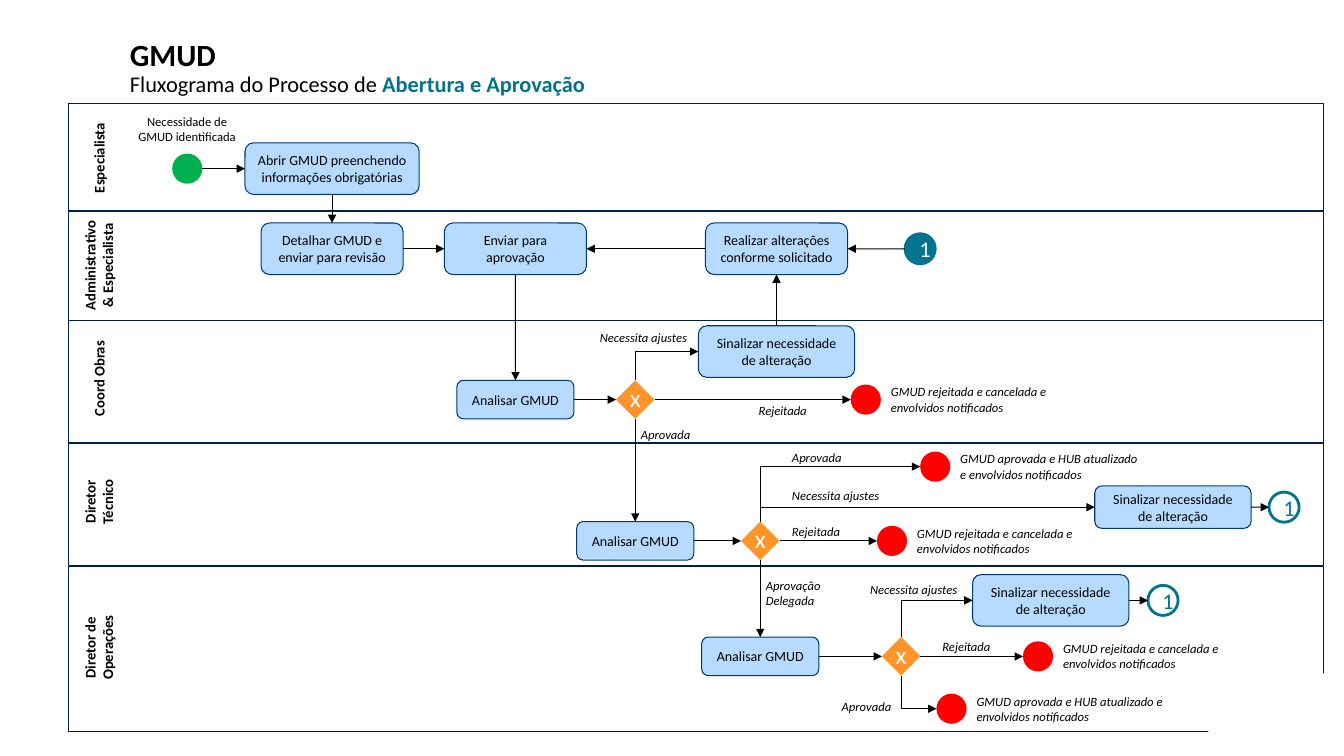
from lxml import etree
from pptx import Presentation
from pptx.dml.color import RGBColor
from pptx.enum.shapes import MSO_CONNECTOR, MSO_SHAPE
from pptx.enum.text import MSO_ANCHOR, PP_ALIGN
from pptx.oxml.ns import qn
from pptx.util import Cm, Pt

RECTANGLE, ROUNDED = MSO_SHAPE.RECTANGLE, MSO_SHAPE.ROUNDED_RECTANGLE
OVAL, DIAMOND = MSO_SHAPE.OVAL, MSO_SHAPE.DIAMOND
STRAIGHT, ELBOW = MSO_CONNECTOR.STRAIGHT, MSO_CONNECTOR.ELBOW
AT_LEFT, CENTER, AT_RIGHT = PP_ALIGN.LEFT, PP_ALIGN.CENTER, PP_ALIGN.RIGHT
MIDDLE = MSO_ANCHOR.MIDDLE
TOP, LEFT, BOTTOM, RIGHT = range(4)

BLACK = RGBColor(0x00, 0x00, 0x00)
WHITE = RGBColor(0xFF, 0xFF, 0xFF)
NAVY = RGBColor(0x00, 0x21, 0x42)
STEP_FILL = RGBColor(0xB7, 0xDB, 0xFF)
STEP_LINE = RGBColor(0x00, 0x39, 0x71)
TEAL = RGBColor(0x03, 0x73, 0x8E)
GREEN = RGBColor(0x00, 0xB0, 0x50)
RED = RGBColor(0xFF, 0x00, 0x00)
ORANGE = RGBColor(0xFF, 0x95, 0x29)

FONT = "Calibri"
CIRCLE = 0.76
LANE_LEFT, LANE_WIDTH = 1.73, 31.62
# top, height, label, centre of the label
LANES = [
    (2.62, 2.69, "Especialista", 3.98),
    (5.33, 2.75, "Administrativo & Especialista", 6.69),
    (8.08, 3.09, "Coord Obras", 9.54),
    (11.16, 3.1, "Diretor\nTécnico", 12.64),
    (14.27, 4.17, "Diretor de Operações", 16.32),
]
# left, top, width, text, alignment
LABELS = [
    (14.83, 8.2, 2.77, "Necessita ajustes", CENTER),
    (18.34, 10.03, 2.77, "Rejeitada", CENTER),
    (15.9, 10.64, 2.77, "Aprovada", AT_LEFT),
    (19.71, 11.2, 2.84, "Aprovada", AT_LEFT),
    (19.71, 12.17, 2.84, "Necessita ajustes", AT_LEFT),
    (19.71, 13.08, 2.77, "Rejeitada", AT_LEFT),
    (19.05, 14.43, 2.77, "Aprovação Delegada", AT_LEFT),
    (21.64, 14.55, 2.77, "Necessita ajustes", CENTER),
    (23.5, 15.98, 1.75, "Rejeitada", AT_LEFT),
    (19.94, 17.48, 2.77, "Aprovada", AT_RIGHT),
]
REJECTED = "GMUD rejeitada e cancelada e envolvidos notificados"
APPROVED = "GMUD aprovada e HUB atualizado e envolvidos notificados"
SIGNAL = "Sinalizar necessidade de alteração"


def add_run(para, text, size, color=BLACK, bold=False, italic=False):
    span = para.add_run()
    span.text = text
    span.font.name = FONT
    span.font.size = Pt(size)
    span.font.bold = bold
    span.font.italic = italic
    span.font.color.rgb = color


def add_shape(page, kind, left, top, width, height, fill=None, line=None, weight=0.75):
    shape = page.shapes.add_shape(kind, Cm(left), Cm(top), Cm(width), Cm(height))
    shape.shadow.inherit = False
    if fill is None:
        shape.fill.background()
    else:
        shape.fill.solid()
        shape.fill.fore_color.rgb = fill
    if line is None:
        shape.line.fill.background()
    else:
        shape.line.color.rgb = line
        shape.line.width = Pt(weight)
    return shape


def add_centred(page, kind, x, y, width, height, *style):
    """Add a shape by its centre."""
    return add_shape(page, kind, x - width / 2, y - height / 2, width, height, *style)


def write_inside(shape, text, size, color=BLACK):
    frame = shape.text_frame
    frame.vertical_anchor = MIDDLE
    frame.paragraphs[0].alignment = CENTER
    add_run(frame.paragraphs[0], text, size, color)


def add_text(page, left, top, width, height, text, size, align, **style):
    box = page.shapes.add_textbox(Cm(left), Cm(top), Cm(width), Cm(height))
    frame = box.text_frame
    frame.word_wrap = True
    for number, line in enumerate(text.split("\n")):
        para = frame.add_paragraph() if number else frame.paragraphs[0]
        para.alignment = align
        add_run(para, line, size, **style)
    return box


def add_lane(page, top, height, label, label_y):
    add_shape(page, RECTANGLE, LANE_LEFT, top, LANE_WIDTH, height, None, NAVY)
    tall = 0.74 if label in ("Especialista", "Coord Obras") else 1.19
    box = add_text(page, 2.51 - 1.45, label_y - tall / 2, 2.9, tall, label, 10.5, CENTER, bold=True)
    box.rotation = 270


def add_step(page, x, y, text, width=3.58, height=1.3):
    step = add_centred(page, ROUNDED, x, y, width, height, STEP_FILL, STEP_LINE)
    write_inside(step, text, 10)
    return step


def add_analysis(page, x, y):
    return add_step(page, x, y, "Analisar GMUD", 2.95, 0.97)


def add_gateway(page, x, y):
    gateway = add_centred(page, DIAMOND, x, y, 0.97, 0.97, ORANGE)
    frame = gateway.text_frame
    frame.word_wrap = False
    frame.margin_left = frame.margin_top = frame.margin_right = 0
    frame.margin_bottom = Cm(0.1)
    write_inside(gateway, "x", 18, WHITE)
    return gateway


def add_page_link(page, x, y, fill, color):
    circle = add_centred(page, OVAL, x, y, CIRCLE, CIRCLE, fill, TEAL, 2)
    write_inside(circle, "1", 16, color)
    return circle


def add_end(page, x, y, text, width):
    """Add a red end event with its outcome written at its right."""
    circle = add_centred(page, OVAL, x, y, CIRCLE, CIRCLE, RED)
    add_text(page, x + CIRCLE / 2, y - 0.51, width, 1.02, text, 9, AT_LEFT, italic=True)
    return circle


def side_point(shape, side):
    across = {LEFT: 0, RIGHT: shape.width}.get(side, shape.width // 2)
    down = {TOP: 0, BOTTOM: shape.height}.get(side, shape.height // 2)
    return shape.left + across, shape.top + down


def style_arrow(connector):
    connector.line.color.rgb = BLACK
    connector.line.width = Pt(0.75)
    properties = connector._element.spPr
    etree.SubElement(properties.find(qn("a:ln")), qn("a:tailEnd"), type="triangle")
    etree.SubElement(properties, qn("a:effectLst"))


def add_arrow(page, start, start_side, end, end_side):
    connector = page.shapes.add_connector(
        STRAIGHT, *side_point(start, start_side), *side_point(end, end_side))
    if start.auto_shape_type != OVAL:
        connector.begin_connect(start, start_side)
    if end.auto_shape_type != OVAL:
        connector.end_connect(end, end_side)
    style_arrow(connector)


def add_bent_arrow(page, start, start_side, end):
    """Go up or down from start, then right to the left side of end."""
    x1, y1 = side_point(start, start_side)
    x2, y2 = side_point(end, LEFT)
    middle_x, middle_y = (x1 + x2) // 2, (y1 + y2) // 2
    half_width, half_height = (y2 - y1) // 2, (x2 - x1) // 2
    upward = start_side == TOP
    if upward:
        half_width, half_height = -half_width, -half_height
    connector = page.shapes.add_connector(
        ELBOW, middle_x + half_width, middle_y - half_height,
        middle_x - half_width, middle_y + half_height)
    properties = connector._element.spPr
    properties.find(qn("a:xfrm")).set("rot", str((90 if upward else 270) * 60000))
    properties.find(qn("a:prstGeom")).set("prst", "bentConnector2")
    style_arrow(connector)


def write_title(page):
    title = page.shapes.title
    title.left, title.top, title.width, title.height = Cm(3.02), Cm(0.84), Cm(29.13), Cm(1.8)
    title.text_frame.vertical_anchor = MIDDLE
    para = title.text_frame.paragraphs[0]
    para.alignment = AT_LEFT
    para.line_spacing = 0.9
    add_run(para, "GMUD", 22, bold=True)
    para.add_line_break()
    add_run(para, "Fluxograma do Processo de ", 16)
    add_run(para, "Abertura e Aprovação", 16, TEAL, bold=True)


def draw_flow(page):
    start = add_centred(page, OVAL, 4.72, 4.25, CIRCLE, CIRCLE, GREEN)
    add_text(page, 3.1, 2.74, 3.23, 1.02, "Necessidade de GMUD identificada", 9, CENTER)
    opening = add_step(page, 8.37, 4.25, "Abrir GMUD preenchendo informações obrigatórias", 4.39)
    detail = add_step(page, 8.37, 6.27, "Detalhar GMUD e enviar para revisão")
    send = add_step(page, 12.99, 6.27, "Enviar para aprovação")
    change = add_step(page, 19.57, 6.27, "Realizar alterações conforme solicitado")
    back = add_page_link(page, 23.19, 6.27, TEAL, WHITE)

    works, technical, operations = [
        (add_analysis(page, x, y), add_gateway(page, gateway_x, y))
        for x, gateway_x, y in ((12.99, 16.01, 10.07), (16.01, 19.16, 13.63), (19.16, 22.71, 16.54))]
    works_signal = add_step(page, 19.57, 8.86, SIGNAL, 3.94)
    technical_signal = add_step(page, 29.56, 12.78, SIGNAL, 3.94, 1.07)
    operations_signal = add_step(page, 26.48, 15.13, SIGNAL, 3.94)
    technical_link = add_page_link(page, 32.36, 12.78, WHITE, TEAL)
    operations_link = add_page_link(page, 29.31, 15.13, WHITE, TEAL)
    works_rejected = add_end(page, 21.82, 10.07, REJECTED, 4.57)
    technical_approved = add_end(page, 23.57, 11.76, APPROVED, 4.98)
    technical_rejected = add_end(page, 22.48, 13.63, REJECTED, 4.57)
    operations_rejected = add_end(page, 26.16, 16.54, REJECTED, 4.98)
    operations_approved = add_end(page, 23.98, 17.86, APPROVED, 5.26)

    for origin, target in (
            (start, opening), (detail, send), works, technical, operations,
            (works[1], works_rejected), (technical[1], technical_rejected),
            (operations[1], operations_rejected),
            (technical_signal, technical_link), (operations_signal, operations_link)):
        add_arrow(page, origin, RIGHT, target, LEFT)
    for origin, target in ((opening, detail), (send, works[0]),
                           (works[1], technical[0]), (technical[1], operations[0])):
        add_arrow(page, origin, BOTTOM, target, TOP)
    for origin, target in ((back, change), (change, send)):
        add_arrow(page, origin, LEFT, target, RIGHT)
    add_arrow(page, works_signal, TOP, change, BOTTOM)
    for origin, side, target in (
            (works[1], TOP, works_signal), (technical[1], TOP, technical_signal),
            (technical[1], TOP, technical_approved), (operations[1], TOP, operations_signal),
            (operations[1], BOTTOM, operations_approved)):
        add_bent_arrow(page, origin, side, target)


def main():
    deck = Presentation()
    deck.slide_width, deck.slide_height = Cm(33.87), Cm(19.05)
    page = deck.slides.add_slide(deck.slide_layouts[5])
    write_title(page)
    for lane in LANES:
        add_lane(page, *lane)
    draw_flow(page)
    for left, top, width, text, align in LABELS:
        height = 1.02 if text == "Aprovação Delegada" else 0.64
        add_text(page, left, top, width, height, text, 9, align, italic=True)
    add_shape(page, RECTANGLE, 30.45, 16.97, 3.4, 2.08, WHITE)
    deck.save("out.pptx")


if __name__ == "__main__":
    main()
